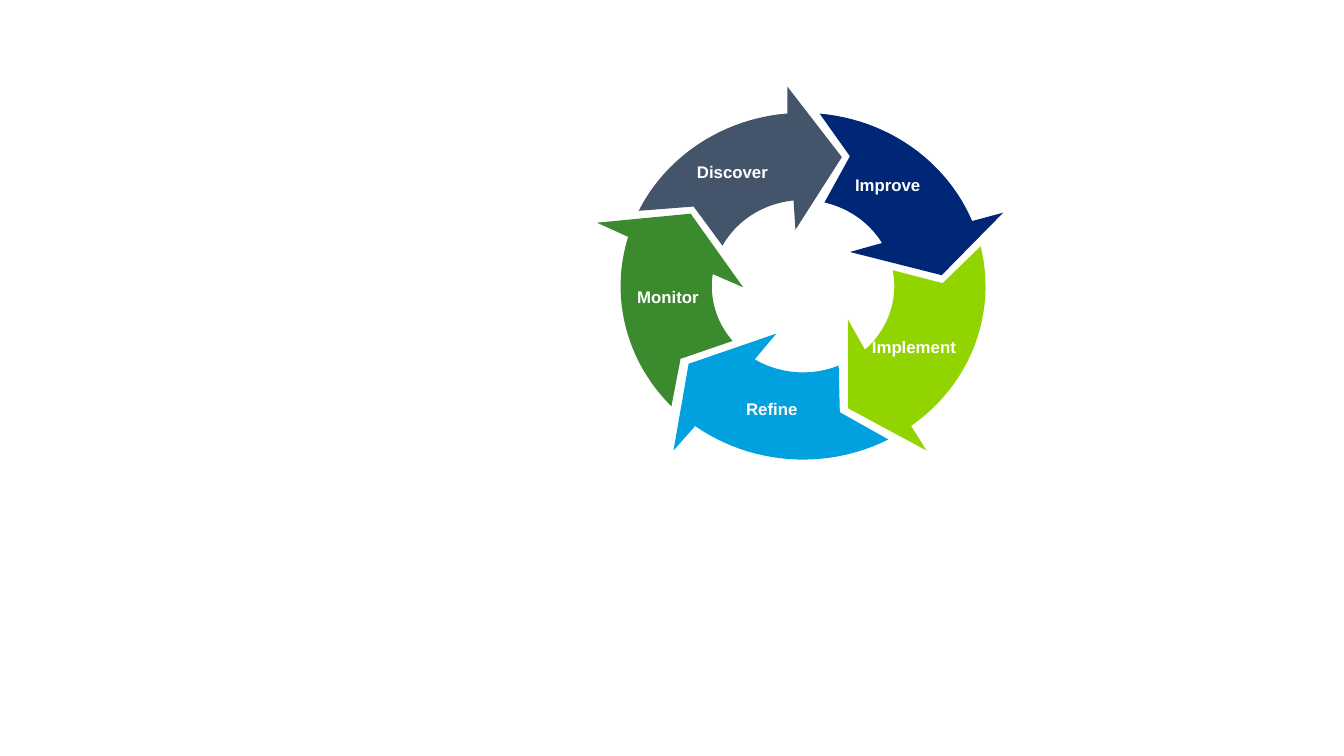
from math import atan2, cos, pi, sin

from pptx import Presentation
from pptx.dml.color import RGBColor
from pptx.enum.text import MSO_ANCHOR, PP_ALIGN
from pptx.util import Emu, Pt

PX = 9144  # 100 px to the inch
CENTER = (796.5, 284)
OUTER_RADII = (181, 172)
INNER_RADII = (90.5, 85.5)
ARC_STEPS = 24
LABEL_SIZE = (87, 13)

# label, its left and top, colour, inner arc ends, arrowhead (inner barb, tip,
# outer barb), outer arc ends, tail notch
STAGES = [
    ("Discover", (683, 165), "44546A", [(717, 244), (787, 198)],
     [(789, 228), (835, 156), (781, 86)], [(781, 112), (633, 209)], (688, 205)),
    ("Improve", (837, 178), "002776", [(818, 200), (875, 241)],
     [(843, 250), (934, 273), (995, 211)], [(965, 219), (813, 112)], (843, 155)),
    ("Implement", (863, 339), "92D400", [(886, 268), (858, 347)],
     [(841, 317), (841, 405), (919, 447)], [(904, 423), (974, 244)], (935, 281)),
    ("Refine", (722, 400), "00A1DE", [(832, 363), (749, 356)],
     [(770, 331), (683, 361), (668, 447)], [(690, 422), (881, 436)], (833, 409)),
    ("Monitor", (619, 289), "3C8A2E", [(727, 338), (707, 272)],
     [(737, 285), (685, 212), (592, 221)], [(623, 235), (666, 403)], (675, 356)),
]


def px(value):
    return Emu(round(value * PX))


def color(hex_string):
    return RGBColor.from_string(hex_string)


def arc(ends, radii):
    """Return points on the ellipse, the short way between the two ends."""
    start, end = [
        atan2((y - CENTER[1]) / radii[1], (x - CENTER[0]) / radii[0])
        for x, y in ends
    ]
    sweep = (end - start + pi) % (2 * pi) - pi
    angles = [start + sweep * step / ARC_STEPS for step in range(ARC_STEPS + 1)]
    return [(CENTER[0] + radii[0] * cos(angle), CENTER[1] + radii[1] * sin(angle))
            for angle in angles]


def add_cycle_arrow(slide, fill, inner_ends, head, outer_ends, notch):
    outline = arc(inner_ends, INNER_RADII) + head + arc(outer_ends, OUTER_RADII) + [notch]
    points = [(px(x), px(y)) for x, y in outline]
    builder = slide.shapes.build_freeform(*points[0])
    builder.add_line_segments(points[1:], close=True)
    shape = builder.convert_to_shape()
    shape.shadow.inherit = False
    shape.fill.solid()
    shape.fill.fore_color.rgb = color(fill)
    shape.line.fill.background()


def add_label(slide, text, position):
    box = slide.shapes.add_textbox(*map(px, position + LABEL_SIZE))
    frame = box.text_frame
    frame.word_wrap = True
    frame.vertical_anchor = MSO_ANCHOR.MIDDLE
    frame.margin_left = frame.margin_right = 0
    frame.margin_top = frame.margin_bottom = 0
    paragraph = frame.paragraphs[0]
    paragraph.text = text
    paragraph.alignment = PP_ALIGN.CENTER
    paragraph.line_spacing = 0.95
    paragraph.font.name = "Arial"
    paragraph.font.size = Pt(12)
    paragraph.font.bold = True
    paragraph.font.color.rgb = color("FFFFFF")


def main():
    presentation = Presentation()
    presentation.slide_width = px(1333)
    presentation.slide_height = px(750)
    slide = presentation.slides.add_slide(presentation.slide_layouts[6])
    for _, _, fill, inner_ends, head, outer_ends, notch in STAGES:
        add_cycle_arrow(slide, fill, inner_ends, head, outer_ends, notch)
    for name, position, *_ in STAGES:
        add_label(slide, name, position)
    presentation.save("out.pptx")


if __name__ == "__main__":
    main()
